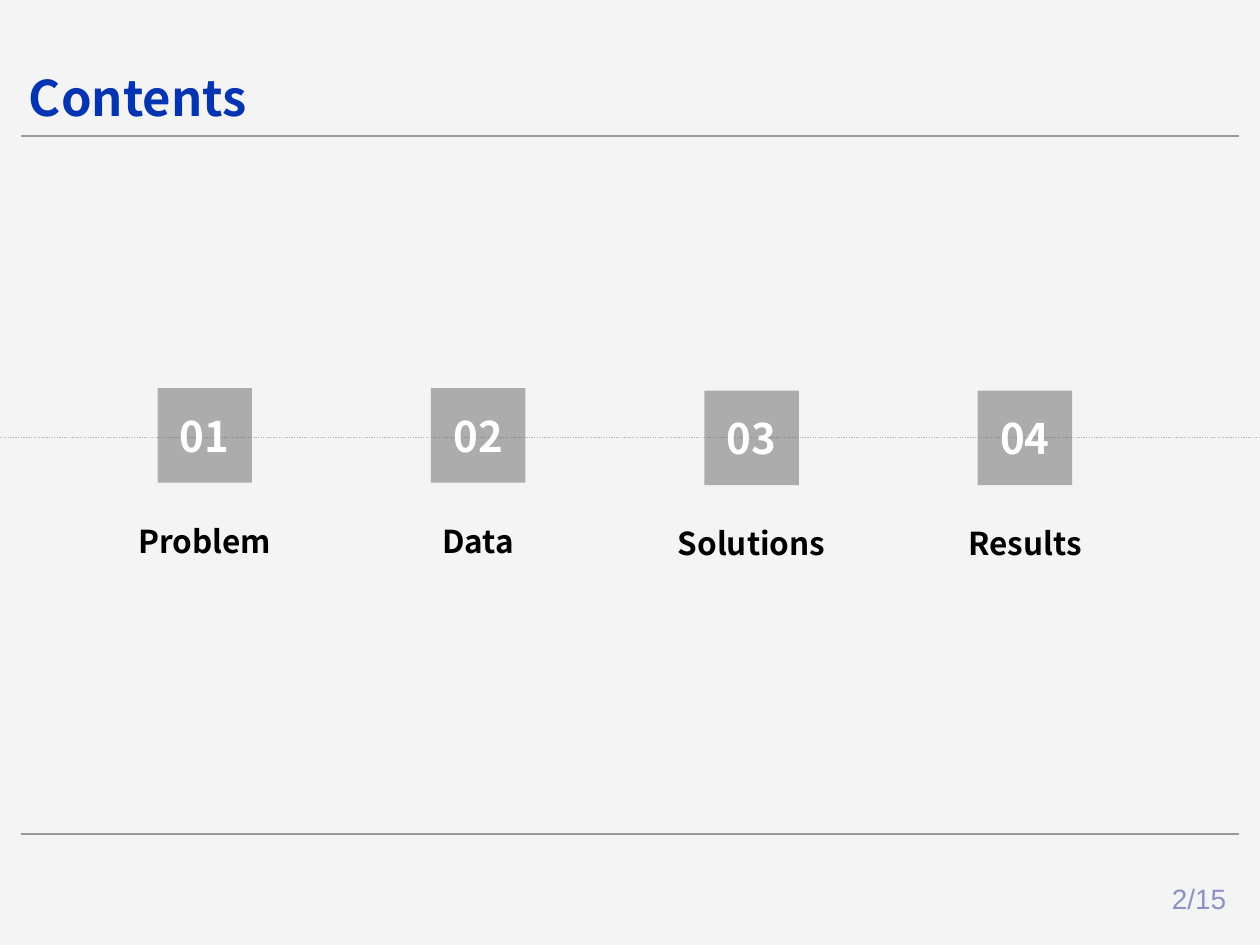
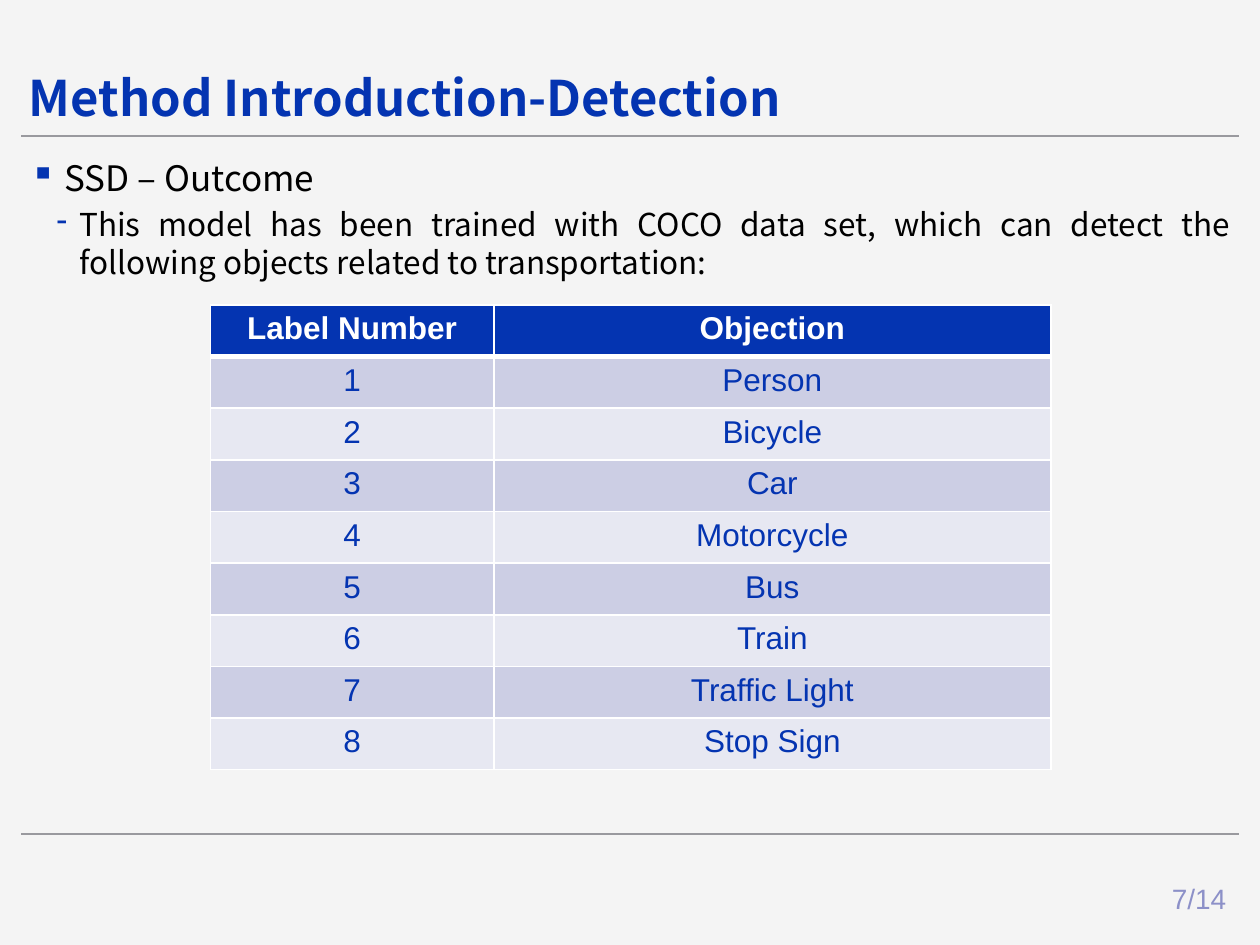
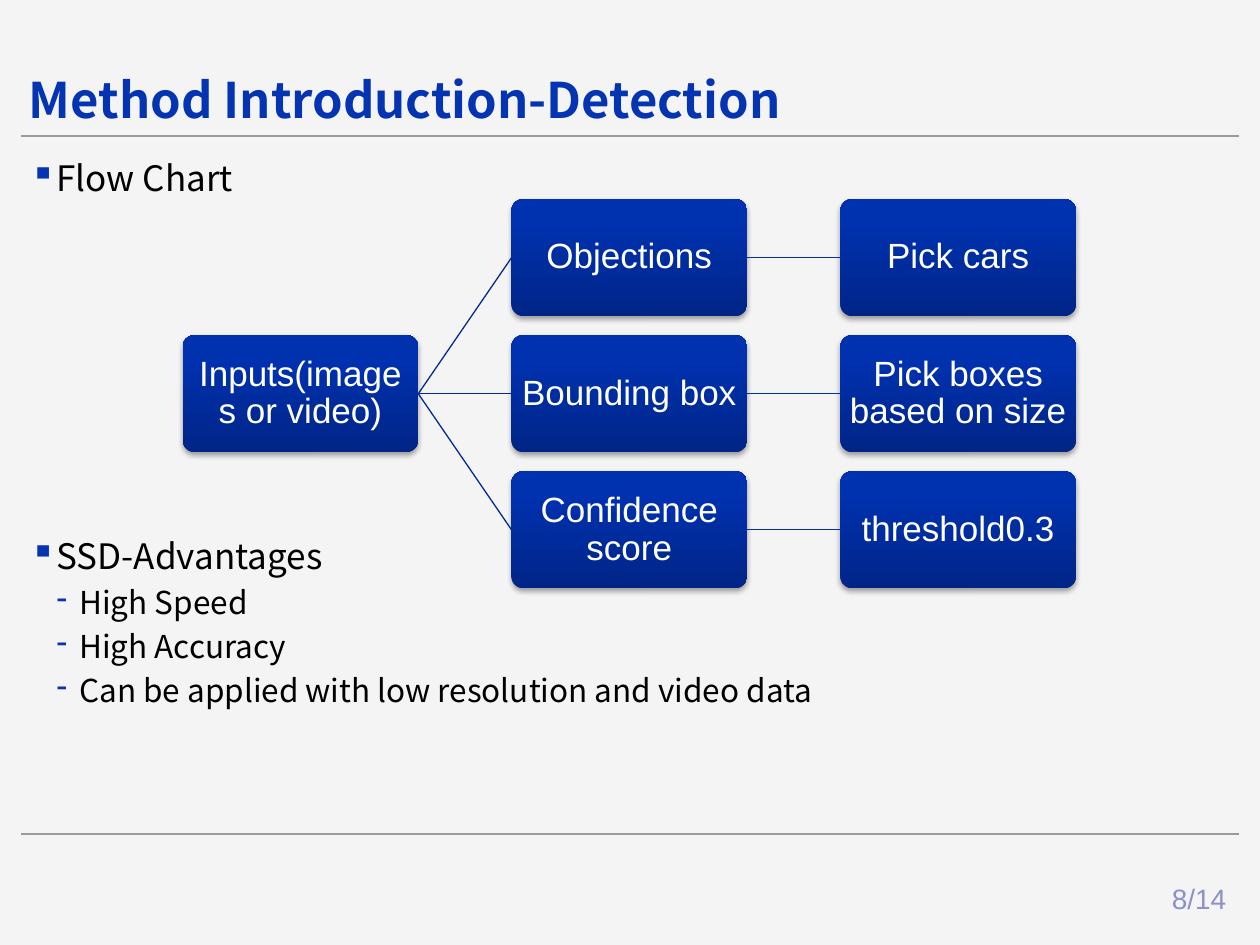
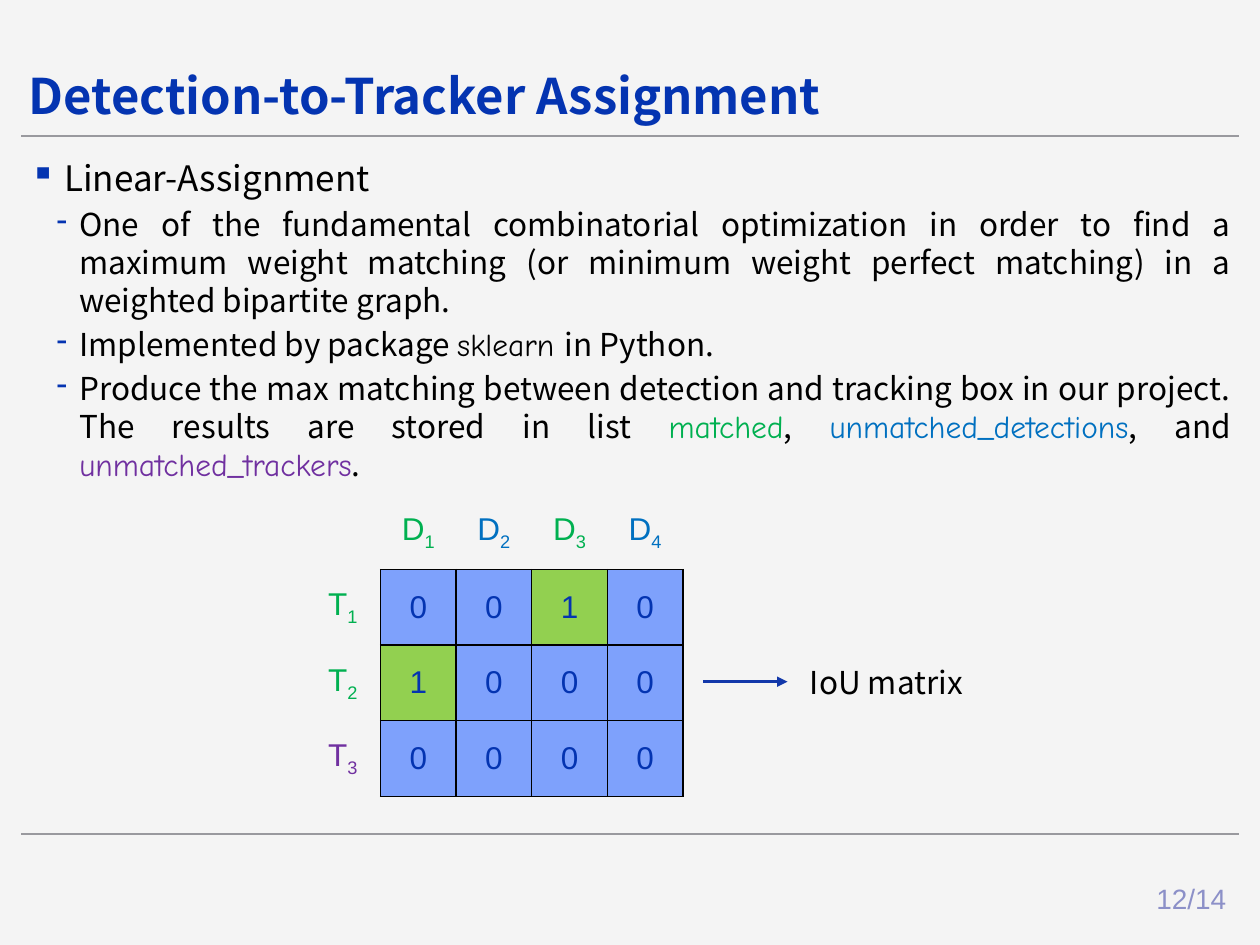
from lxml import etree
from pptx import Presentation, util as u
from pptx.dml.color import RGBColor
from pptx.enum import dml, shapes, text
from pptx.oxml import parse_xml
from pptx.oxml.ns import nsdecls, qn

HUES = {
    "back": "F4F4F4", "rule": "99999E", "blue": "0434B1", "page": "8C90C8",
    "black": "000000", "white": "FFFFFF", "dots": "B4B4B4", "box": "595959",
    "odd": "CCCEE4", "even": "E7E8F2", "green": "00B050", "sky": "0070C0",
    "plum": "7030A0", "cell": "7EA1FC", "lime": "92D050",
    "fork": "032A8E", "link": "042FA1", "arrow": "1238AA",
    "deep": "002587", "mid": "0031AF", "top": "0031B0",
}
SANS, ARIAL, COMIC = "Noto Sans CJK SC", "Arial", "Comic Neue"
PLAIN = "{2D5ABB26-0587-4C30-8999-92F81FD0307C}"
ALIGN, ANCHOR = text.PP_ALIGN, text.MSO_ANCHOR
FORMS = {
    "title": {"name": SANS, "size": 28, "hue": "blue", "bold": True},
    "page": {"name": ARIAL, "size": 16, "hue": "page"},
    "num": {"name": SANS, "size": 24, "hue": "white", "bold": True},
    "label": {"name": SANS, "size": 18, "hue": "black", "bold": True},
    "head": {"name": SANS, "size": 20, "hue": "black"},
    "item": {"name": SANS, "size": 18, "hue": "black"},
    "step": {"name": ARIAL, "size": 20, "hue": "white"},
    "top": {"name": ARIAL, "size": 18, "hue": "white", "bold": True},
    "cell": {"name": ARIAL, "size": 18, "hue": "blue"},
}
BULLETS = {
    "head": {"mark": "▪", "left": 0.2, "hang": 0.2, "align": ALIGN.LEFT},
    "item": {"mark": "-", "left": 0.39, "hang": 0.18, "align": ALIGN.JUSTIFY},
}


def rgb(hue):
    return RGBColor.from_string(HUES[hue])


def inch(*vals):
    return [u.Inches(v) for v in vals]


def dress(run, form):
    for key, val in form.items():
        if key == "hue":
            run.font.color.rgb = rgb(val)
        elif key == "sub":
            run._r.get_or_add_rPr().set("baseline", "-25000")
        else:
            setattr(run.font, key, u.Pt(val) if key == "size" else val)


def write(par, words, form, align=ALIGN.LEFT):
    par.alignment = align
    for part, diff in [(words, {})] if isinstance(words, str) else words:
        run = par.add_run()
        run.text = part
        dress(run, {**FORMS[form], **diff})


def frame(body, anchor=ANCHOR.TOP, pad=(0.1, 0.05), wrap=True):
    wide, high = inch(*pad)
    looks = {"margin_left": wide, "margin_right": wide, "margin_top": high,
             "margin_bottom": high, "vertical_anchor": anchor, "word_wrap": wrap}
    for key, val in looks.items():
        setattr(body, key, val)
    return body


def box(slide, place, words, form, align=ALIGN.LEFT, **opts):
    body = frame(slide.shapes.add_textbox(*inch(*place)).text_frame, **opts)
    write(body.paragraphs[0], words, form, align)


def line(slide, ends, hue, width, dash=None, arrow=False):
    rod = slide.shapes.add_connector(shapes.MSO_CONNECTOR.STRAIGHT, *inch(*ends))
    rod.line.color.rgb = rgb(hue)
    rod.line.width = u.Pt(width)
    if dash:
        rod.line.dash_style = dash
    if arrow:
        etree.SubElement(rod.line._get_or_add_ln(), qn("a:tailEnd"), type="triangle")
    etree.SubElement(rod._element.spPr, qn("a:effectLst"))
    return rod


def base(deck, title, page, top=0.18):
    slide = deck.slides.add_slide(deck.slide_layouts[6])
    fill = slide.background.fill
    fill.solid()
    fill.fore_color.rgb = rgb("back")
    for y in (6.62, 1.08):
        line(slide, (0.17, y, 9.83, y), "rule", 1.5)
    box(slide, (0.17, top, 9.67, 0.82), title, "title", anchor=ANCHOR.BOTTOM, pad=(0.06, 0))
    box(slide, (7.58, 6.93, 2.25, 0.4), page, "page", ALIGN.RIGHT, anchor=ANCHOR.MIDDLE)
    return slide


def bullet(par, mark, left, hang):
    prop = par._p.get_or_add_pPr()
    prop.set("marL", str(u.Inches(left)))
    prop.set("indent", str(-u.Inches(hang)))
    tint = etree.SubElement(prop, qn("a:buClr"))
    etree.SubElement(tint, qn("a:srgbClr"), val=HUES["blue"])
    etree.SubElement(prop, qn("a:buChar"), char=mark)


def points(slide, rows):
    area = slide.shapes.add_textbox(*inch(0.17, 1.24, 9.67, 5.36))
    body = frame(area.text_frame, pad=(0.07, 0))
    for i, (form, words, diff) in enumerate(rows):
        par = body.add_paragraph() if i else body.paragraphs[0]
        look = {**BULLETS[form], **diff}
        size = FORMS[form]["size"]
        bullet(par, look["mark"], look["left"], look["hang"])
        par.line_spacing = u.Pt(1.2 * size)
        par.space_after = u.Pt(0.2 * size)
        if "gap" in look:
            par.space_before = u.Pt(look["gap"])
        write(par, words, form, look["align"])


def edge(cell, rims):
    prop = cell._tc.get_or_add_tcPr()
    for side in "LRTB":
        if side in rims:
            hue, width = rims[side]
            prop.append(parse_xml(
                f'<a:ln{side} {nsdecls("a")} w="{u.Pt(width)}"><a:solidFill>'
                f'<a:srgbClr val="{HUES[hue]}"/></a:solidFill></a:ln{side}>'))


def grid(slide, left, top, cols, high, rows):
    place = inch(left, top, sum(cols), high * rows)
    tab = slide.shapes.add_table(rows, len(cols), *place).table
    tab.first_row = tab.horz_banding = False
    tab._tbl.tblPr.find(qn("a:tableStyleId")).text = PLAIN
    for col, wide in zip(tab.columns, cols):
        col.width = u.Inches(wide)
    for row in tab.rows:
        row.height = u.Inches(high)
    return tab


def put(cell, words, form, fill=None, rims=None, anchor=ANCHOR.TOP):
    edge(cell, rims or {})
    if fill:
        cell.fill.solid()
        cell.fill.fore_color.rgb = rgb(fill)
    cell.vertical_anchor = anchor
    write(cell.text_frame.paragraphs[0], words, form, ALIGN.CENTER)


def square(slide, x, y, words):
    tile = slide.shapes.add_shape(shapes.MSO_SHAPE.RECTANGLE, *inch(x, y, 0.75, 0.75))
    tile.shadow.inherit = False
    tile.line.fill.background()
    tile.fill.solid()
    tile.fill.fore_color.rgb = rgb("box")
    tint = tile._element.spPr.find(".//" + qn("a:srgbClr"))
    etree.SubElement(tint, qn("a:alpha"), val="46000")
    body = frame(tile.text_frame, anchor=ANCHOR.MIDDLE)
    write(body.paragraphs[0], words, "num", ALIGN.CENTER)


def step(slide, col, row, words):
    place = inch(1.45 + 2.61 * col, 1.58 + 1.08 * row, 1.87, 0.93)
    node = slide.shapes.add_shape(shapes.MSO_SHAPE.ROUNDED_RECTANGLE, *place)
    node.adjustments[0] = 0.1
    node.line.fill.background()
    prop = node._element.spPr
    stops = "".join(
        f'<a:gs pos="{pos}000"><a:srgbClr val="{HUES[hue]}"/></a:gs>'
        for pos, hue in ((0, "deep"), (80, "mid"), (100, "top")))
    prop.insert(2, parse_xml(
        f'<a:gradFill {nsdecls("a")} rotWithShape="1"><a:gsLst>{stops}</a:gsLst>'
        '<a:lin ang="16200000" scaled="0"/></a:gradFill>'))
    prop.append(parse_xml(
        f'<a:effectLst {nsdecls("a")}><a:outerShdw blurRad="{u.Pt(3.1)}" '
        f'dist="{u.Pt(1.8)}" dir="5400000" rotWithShape="0"><a:srgbClr val="{HUES["black"]}">'
        '<a:alpha val="35000"/></a:srgbClr></a:outerShdw></a:effectLst>'))
    body = frame(node.text_frame, anchor=ANCHOR.MIDDLE, pad=(0.04, 0.04))
    body.paragraphs[0].line_spacing = 0.9
    write(body.paragraphs[0], words, "step", ALIGN.CENTER)
    return node


def join(slide, start, end, hue):
    rod = line(slide, (0, 0, 1, 1), hue, 0.75)
    rod.begin_connect(start, 3)
    rod.end_connect(end, 1)


def contents(deck):
    slide = base(deck, "Contents", "2/15")
    line(slide, (0, 3.47, 10, 3.47), "dots", 0.75, dml.MSO_LINE.ROUND_DOT)
    for i, name in enumerate(("Problem", "Data", "Solutions", "Results")):
        x, y = 1.25 + 2.17 * i, 3.08 if i < 2 else 3.1
        square(slide, x, y, f"{i + 1:02}")
        box(slide, (x - 0.36, y + 1.01, 1.47, 0.4), name, "label", ALIGN.CENTER)


def outcome(deck):
    slide = base(deck, "Method Introduction-Detection", "7/14")
    points(slide, [
        ("head", "SSD – Outcome", {"left": 0.27, "hang": 0.27}),
        ("item", "This model has been trained with COCO data set, which can detect "
                 "the following objects related to transportation:", {}),
    ])
    names = ("Person", "Bicycle", "Car", "Motorcycle", "Bus", "Train",
             "Traffic Light", "Stop Sign")
    rows = [("Label Number", "Objection")]
    rows += [(str(i), name) for i, name in enumerate(names, 1)]
    tab = grid(slide, 1.67, 2.42, (2.25, 4.42), 0.41, len(rows))
    for r, row in enumerate(rows):
        rims = {side: ("white", 1) for side in "LRTB"}
        if r < 2:
            rims["T" if r else "B"] = ("white", 3)
        fill = ("odd" if r % 2 else "even") if r else "blue"
        for c, words in enumerate(row):
            put(tab.cell(r, c), words, "cell" if r else "top", fill, rims)


def flow(deck):
    slide = base(deck, "Method Introduction-Detection", "8/14", 0.2)
    points(slide, [
        ("head", "Flow Chart", {}),
        ("head", "SSD-Advantages", {"gap": 188}),
        ("item", "High Speed", {}),
        ("item", "High Accuracy", {}),
        ("item", "Can be applied with low resolution and video data", {}),
    ])
    root = step(slide, 0, 1, "Inputs(images or video)")
    pairs = (("Objections", "Pick cars"),
             ("Bounding box", "Pick boxes based on size"),
             ("Confidence score", "threshold0.3"))
    for row, (part, rule) in enumerate(pairs):
        mid = step(slide, 1, row, part)
        end = step(slide, 2, row, rule)
        join(slide, root, mid, "fork")
        join(slide, mid, end, "link")


def matrix(slide):
    tops = ("green", "sky", "green", "sky")
    sides = ("green", "green", "plum")
    vals = ((0, 0, 1, 0), (1, 0, 0, 0), (0, 0, 0, 0))
    rim = ("black", 1)
    tab = grid(slide, 2.42, 3.92, [0.6] * 5, 0.6, 4)
    mid = ANCHOR.MIDDLE

    def sign(mark, i, hue):
        return [(mark, {"hue": hue}), (str(i), {"hue": hue, "sub": True})]

    for c, hue in enumerate(tops, 1):
        put(tab.cell(0, c), sign("D", c, hue), "cell", None, {"B": rim}, mid)
    for r, hue in enumerate(sides, 1):
        put(tab.cell(r, 0), sign("T", r, hue), "cell", None, {"R": rim}, mid)
        for c, val in enumerate(vals[r - 1], 1):
            put(tab.cell(r, c), str(val), "cell", "lime" if val else "cell",
                dict.fromkeys("LRTB", rim), mid)


def assign(deck):
    slide = base(deck, "Detection-to-Tracker Assignment", "12/14", 0.17)
    points(slide, [
        ("head", "Linear-Assignment", {"left": 0.27, "hang": 0.27}),
        ("item", "One of the fundamental combinatorial optimization in order to find a "
                 "maximum weight matching (or minimum weight perfect matching) in a "
                 "weighted bipartite graph.", {}),
        ("item", [("Implemented by package ", {}), ("sklearn ", {"name": COMIC}),
                  ("in Python.", {})], {}),
        ("item", [("Produce the max matching between detection and tracking box in our "
                   "project. The results are stored in list ", {}),
                  ("matched", {"name": COMIC, "hue": "green"}), (", ", {}),
                  ("unmatched_detections", {"name": COMIC, "hue": "sky"}), (", and ", {}),
                  ("unmatched_trackers", {"name": COMIC, "hue": "plum"}), (".", {})], {}),
    ])
    matrix(slide)
    line(slide, (5.58, 5.41, 6.25, 5.41), "arrow", 1.5, arrow=True)
    box(slide, (6.33, 5.21, 1.46, 0.4), "IoU matrix", "item", wrap=False)


def main():
    deck = Presentation()
    deck.slide_width, deck.slide_height = inch(10, 7.5)
    for make in (contents, outcome, flow, assign):
        make(deck)
    deck.save("out.pptx")


if __name__ == "__main__":
    main()
